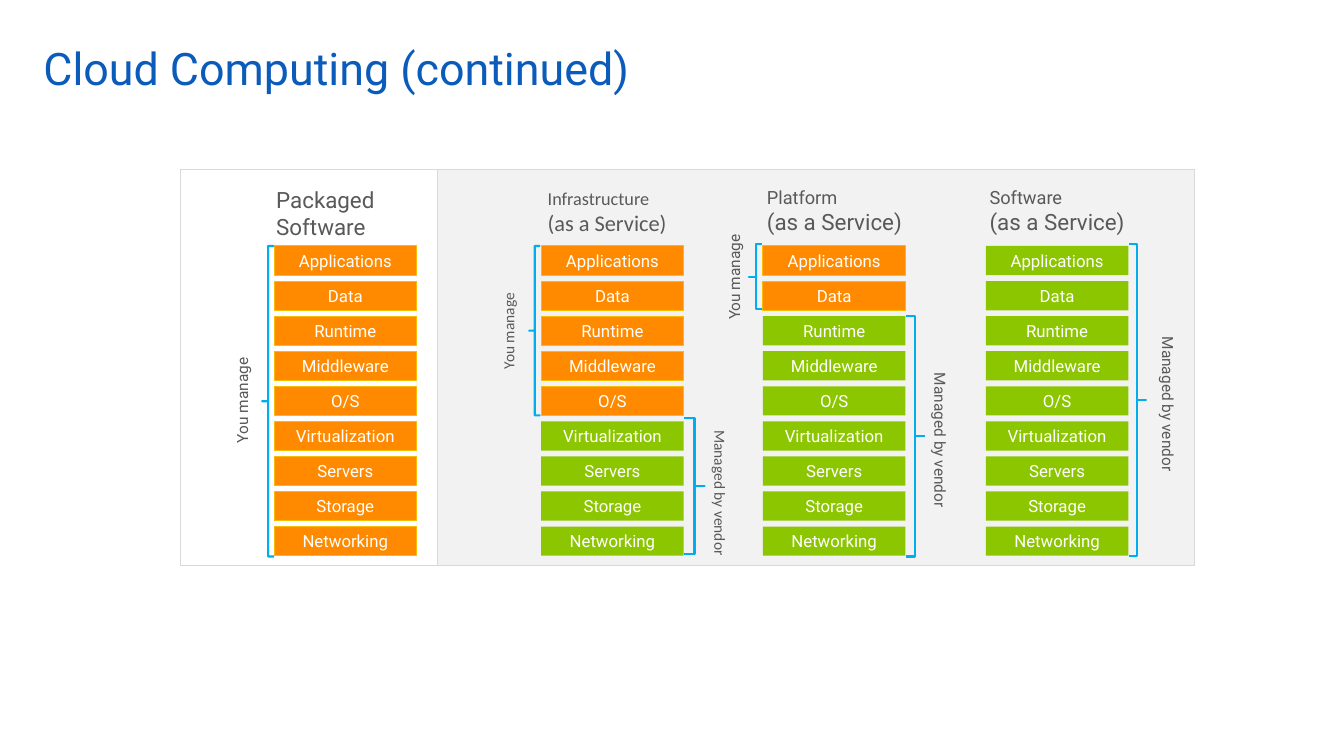
import pptx
import pptx.dml.color
import pptx.enum.shapes
import pptx.enum.text
import pptx.util

Pt = pptx.util.Pt
Shapes = pptx.enum.shapes.MSO_SHAPE
Align = pptx.enum.text.PP_ALIGN
Anchor = pptx.enum.text.MSO_ANCHOR

LAYERS = ["Applications", "Data", "Runtime", "Middleware", "O/S",
          "Virtualization", "Servers", "Storage", "Networking"]
LAYER_TOP, LAYER_PITCH = 175.7, 25.05
LAYER_WIDTH, LAYER_HEIGHT = 101.8, 20.9
AS_A_SERVICE = ("(as a Service)", 16)

# own: layers managed by the customer; heading: (box, inset, lines with size)
# you, vendor: (brace box, label box); boxes are left, top, width, height
MODELS = [
    dict(left=195.8, own=9, font="Roboto",
         heading=((197.3, 133.2, 115.9, 35.3), 0, [("Packaged Software", 16)]),
         you=((187.2, 175.7, 8.6, 221.8), (162.7, 251.3, 28.1, 69.1))),
    dict(left=386.6, own=5, font="Calibri",
         heading=((385.2, 133.9, 131, 35.3), 6, [("Infrastructure", 13), AS_A_SERVICE]),
         you=((378, 175.7, 7.9, 121), (352.8, 205.9, 25.2, 61.2)),
         vendor=((488.9, 298.8, 14.4, 97.2), (499.7, 300.2, 25.2, 95.8))),
    dict(left=545, own=2, font="Roboto",
         heading=((540.7, 133.2, 123.8, 35.3), 7.2, [("Platform", 13), AS_A_SERVICE]),
         you=((535, 174.2, 9.4, 46.8), (514.1, 163.4, 28.1, 69.1)),
         vendor=((647.3, 225.4, 13, 172.1), (653.8, 259.2, 28.1, 106.6))),
    dict(left=704.2, own=0, font="Roboto",
         heading=((699.8, 133.2, 126, 35.3), 7.2, [("Software", 13), AS_A_SERVICE]),
         vendor=((806.4, 174.2, 12.2, 223.2), (816.5, 233.3, 28.1, 106.6))),
]


def color(hex_string):
    return pptx.dml.color.RGBColor.from_string(hex_string)


def write(paragraph, text, size, font="Roboto", fill="595959", align=Align.LEFT):
    paragraph.alignment = align
    run = paragraph.add_run()
    run.text = text
    run.font.size = Pt(size)
    run.font.name = font
    run.font.color.rgb = color(fill)


def set_margins(frame, horizontal, vertical):
    frame.margin_left = frame.margin_right = Pt(horizontal)
    frame.margin_top = frame.margin_bottom = Pt(vertical)


class Diagram:
    title_color = "0A5BBA"
    brace_color = "00AEEF"
    own_style = dict(fill="FF8A00", line="F9BC00")
    vendor_style = dict(fill="8CC600")

    def __init__(self, slide):
        self.slide = slide

    def title(self, text, box):
        shape = self.slide.shapes.title
        shape.left, shape.top, shape.width, shape.height = map(Pt, box)
        frame = shape.text_frame
        frame.word_wrap = True
        frame.vertical_anchor = Anchor.MIDDLE
        frame.paragraphs[0].line_spacing = 0.9
        write(frame.paragraphs[0], text, 32, fill=self.title_color)

    def shape(self, kind, box, fill=None, line=None, line_width=0.75):
        shape = self.slide.shapes.add_shape(kind, *map(Pt, box))
        shape.shadow.inherit = False
        if fill:
            shape.fill.solid()
            shape.fill.fore_color.rgb = color(fill)
        else:
            shape.fill.background()
        if line:
            shape.line.color.rgb = color(line)
            shape.line.width = Pt(line_width)
        else:
            shape.line.fill.background()
        return shape

    def layer(self, text, box, style):
        frame = self.shape(Shapes.RECTANGLE, box, **style).text_frame
        set_margins(frame, 0, 3.6)
        frame.word_wrap = True
        frame.vertical_anchor = Anchor.MIDDLE
        write(frame.paragraphs[0], text, 12, fill="FFFFFF", align=Align.CENTER)

    def heading(self, box, inset, lines, font):
        frame = self.slide.shapes.add_textbox(*map(Pt, box)).text_frame
        set_margins(frame, inset, 0)
        frame.word_wrap = True
        for index, (text, size) in enumerate(lines):
            paragraph = frame.add_paragraph() if index else frame.paragraphs[0]
            write(paragraph, text, size, font)

    def brace(self, kind, box):
        shape = self.shape(kind, box, line=self.brace_color, line_width=1.5)
        shape.adjustments[0] = 0
        shape.adjustments[1] = 0.5

    def vertical_label(self, text, box, font, direction):
        frame = self.slide.shapes.add_textbox(*map(Pt, box)).text_frame
        set_margins(frame, 7.2, 3.6)
        frame.word_wrap = False
        frame.auto_size = pptx.enum.text.MSO_AUTO_SIZE.SHAPE_TO_FIT_TEXT
        frame._txBody.bodyPr.set("vert", direction)
        write(frame.paragraphs[0], text, 11, font, align=Align.CENTER)

    def model(self, left, own, font, heading, you=None, vendor=None):
        """Draw one service model: heading, stack of layers, braces and labels."""
        self.heading(*heading, font)
        for row, text in enumerate(LAYERS):
            box = (left, LAYER_TOP + row * LAYER_PITCH, LAYER_WIDTH, LAYER_HEIGHT)
            self.layer(text, box, self.own_style if row < own else self.vendor_style)
        if you:
            self.brace(Shapes.LEFT_BRACE, you[0])
            self.vertical_label("You manage", you[1], font, "vert270")
        if vendor:
            self.brace(Shapes.RIGHT_BRACE, vendor[0])
            self.vertical_label("Managed by vendor", vendor[1], font, "eaVert")


def main():
    presentation = pptx.Presentation()
    presentation.slide_width, presentation.slide_height = Pt(960), Pt(540)
    diagram = Diagram(presentation.slides.add_slide(presentation.slide_layouts[5]))
    diagram.title("Cloud Computing (continued)", (23.8, 23.8, 888, 54))
    diagram.shape(Shapes.RECTANGLE, (312.5, 121, 540.7, 283), "F2F2F2", "D9D9D9")
    for model in MODELS:
        diagram.model(**model)
    diagram.shape(Shapes.RECTANGLE, (128.9, 121, 183.6, 283), line="D9D9D9")
    presentation.save("out.pptx")


if __name__ == "__main__":
    main()
